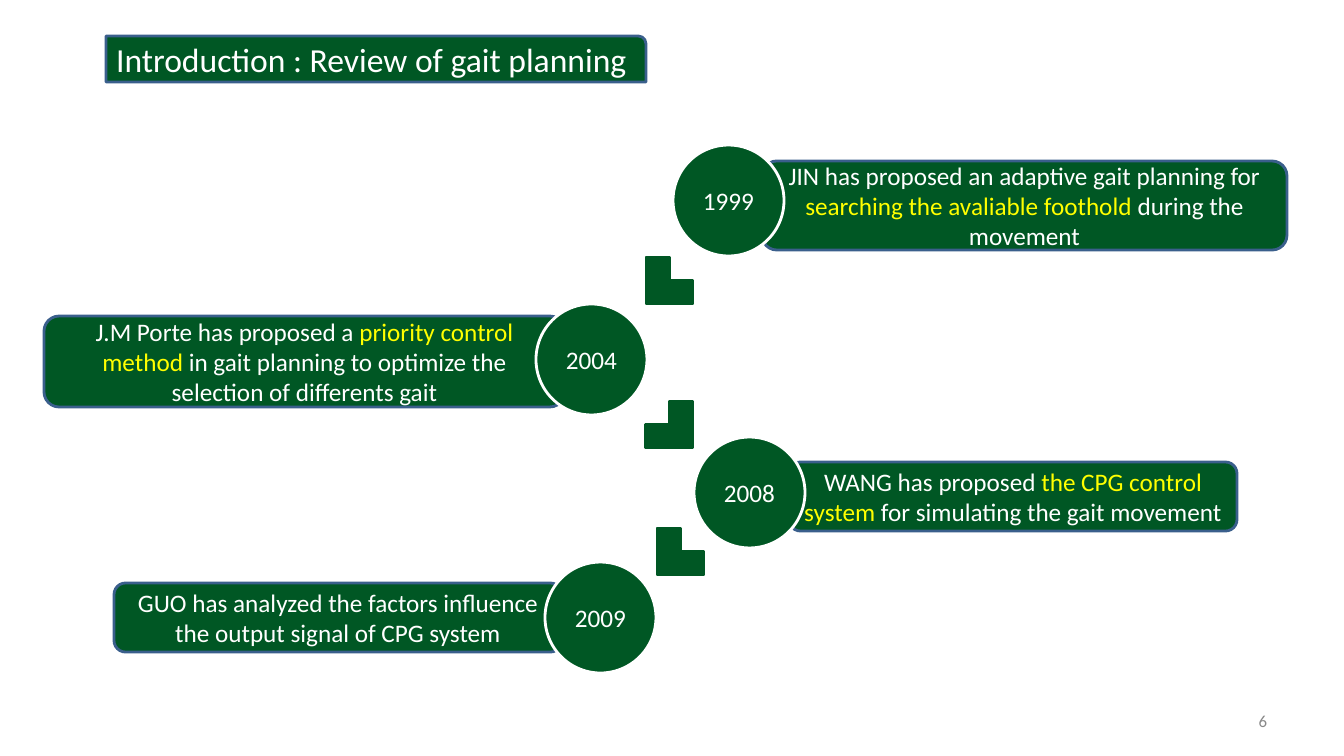
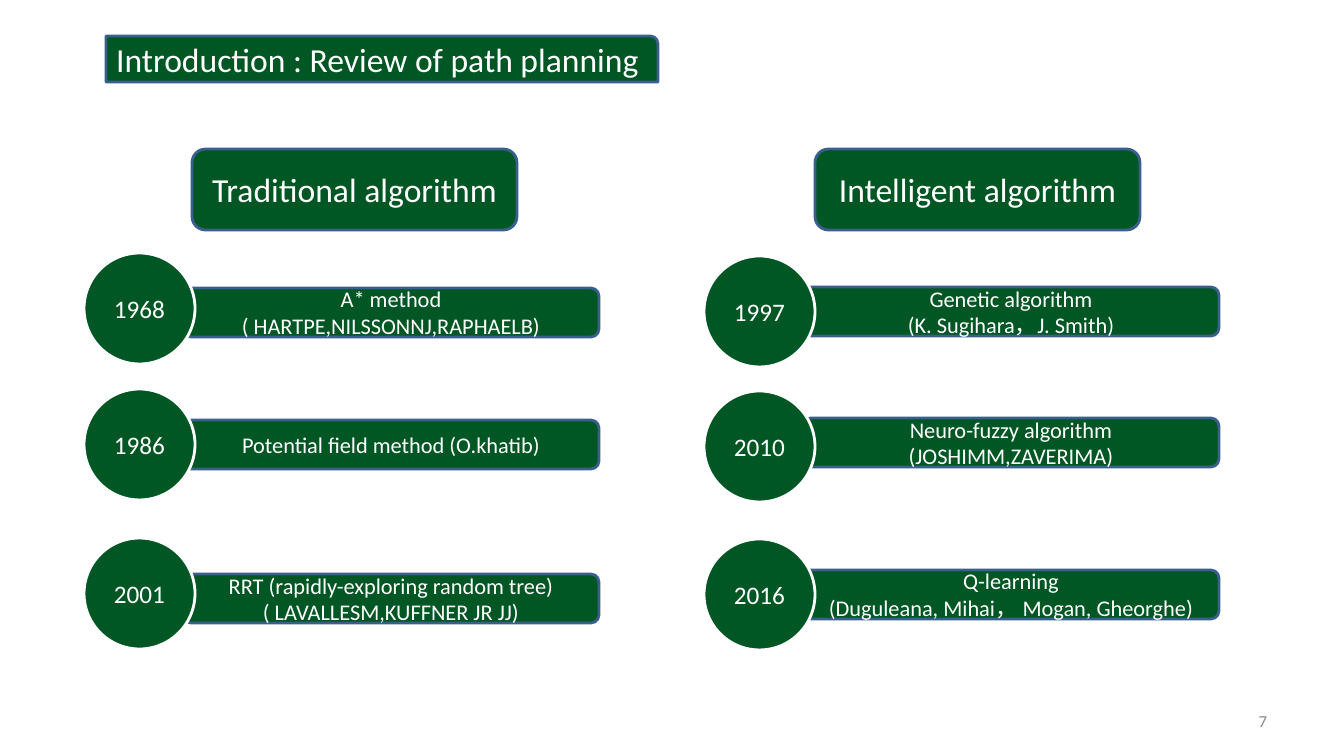
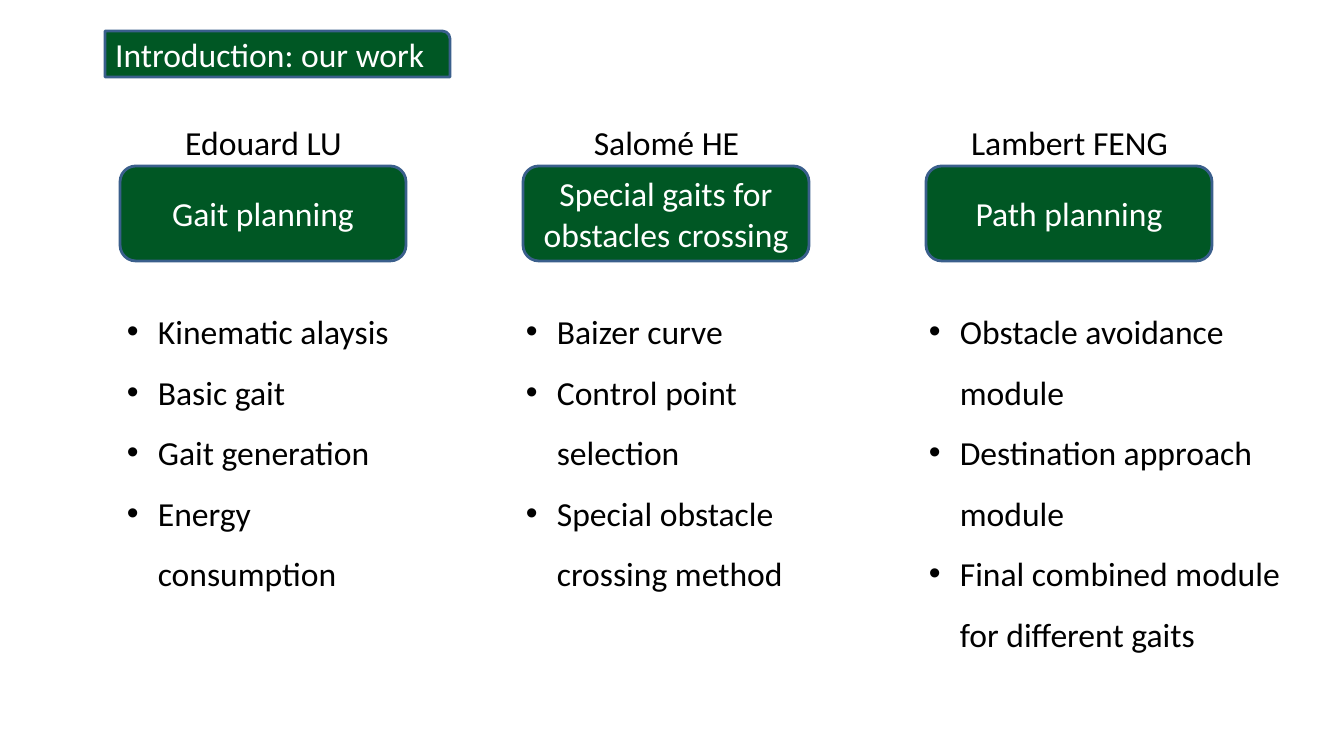
from lxml.etree import SubElement
from pptx import Presentation
from pptx.dml.color import RGBColor
from pptx.enum.shapes import MSO_SHAPE as Preset
from pptx.enum.text import MSO_ANCHOR as Anchor, MSO_AUTO_SIZE as AutoSize, PP_ALIGN as Align
from pptx.oxml.ns import qn
from pptx.util import Pt

EMU_PER_PX = 914400 / 100.8
FONT = "Calibri"
COLORS = {
    "green": "005724",
    "border": "3A5F8C",
    "white": "FFFFFF",
    "yellow": "FFFF00",
    "black": "000000",
    "gray": "898989",
}
CIRCLE = 111
CORNER = 47
BULLET_INDENT = 31


def px(length):
    """Turn pixels into EMU."""
    return round(length * EMU_PER_PX)


def rgb(name):
    """Look up a palette colour."""
    return RGBColor.from_string(COLORS[name])


def add_bullet(paragraph):
    """Give a paragraph a hanging round bullet."""
    properties = paragraph._p.get_or_add_pPr()
    properties.set("marL", str(px(BULLET_INDENT)))
    properties.set("indent", str(-px(BULLET_INDENT)))
    SubElement(properties, qn("a:buFont"), typeface="Arial")
    SubElement(properties, qn("a:buChar"), char="•")


def write(shape, text, size=18, color="white", align=Align.CENTER,
          anchor=Anchor.MIDDLE, spacing=None, bullets=False):
    """Write one paragraph per line; parts between bars are highlighted."""
    frame = shape.text_frame
    frame.word_wrap = True
    frame.auto_size = AutoSize.NONE
    frame.vertical_anchor = anchor
    for index, line in enumerate(text.split("\n")):
        paragraph = frame.add_paragraph() if index else frame.paragraphs[0]
        if bullets:
            add_bullet(paragraph)
        paragraph.alignment = align
        if spacing:
            paragraph.line_spacing = spacing
        for part, words in enumerate(line.split("|")):
            run = paragraph.add_run()
            run.text = words
            run.font.name = FONT
            run.font.size = Pt(size)
            run.font.color.rgb = rgb("yellow" if part % 2 else color)


def add_panel(slide, preset, box, line="border"):
    """Add a green preset shape."""
    shape = slide.shapes.add_shape(preset, *map(px, box))
    shape.shadow.inherit = False
    shape.fill.solid()
    shape.fill.fore_color.rgb = rgb("green")
    shape.line.color.rgb = rgb(line)
    shape.line.width = Pt(2)
    return shape


def add_text(slide, box, text, **style):
    """Add a text box."""
    write(slide.shapes.add_textbox(*map(px, box)), text, **style)


def add_titled_slide(presentation, title, box, number=None):
    """Start a slide with its title band and optional page number."""
    slide = presentation.slides.add_slide(presentation.slide_layouts[5])
    heading = slide.shapes.title
    heading.left, heading.top, heading.width, heading.height = map(px, box)
    write(heading, title, size=24, align=Align.LEFT)
    band = add_panel(slide, Preset.ROUND_1_RECTANGLE, box)
    heading.element.addprevious(band.element)
    if number:
        add_text(slide, (964, 701, 313, 40), number, size=12, color="gray", align=Align.RIGHT)
    return slide


def add_milestone(slide, bar_box, circle_at, year, text, size=18):
    """Add a text bar with a year circle over its end."""
    write(add_panel(slide, Preset.ROUNDED_RECTANGLE, bar_box), text, size=size)
    circle = add_panel(slide, Preset.OVAL, (*circle_at, CIRCLE, CIRCLE), line="white")
    write(circle, year)


def add_corner(slide, left, top, flipped=False):
    """Add an L-shaped link between milestones."""
    corner = add_panel(slide, Preset.CORNER, (left, top, CORNER, CORNER), line="green")
    if flipped:
        corner.element.spPr.get_or_add_xfrm().set("flipH", "1")


def add_algorithm_column(slide, left, top, heading_offset, heading, rows):
    """Add a heading and its milestones relative to the column corner."""
    panel = add_panel(slide, Preset.ROUNDED_RECTANGLE, (left + heading_offset, top, 325, 81))
    write(panel, heading, size=24)
    for circle_drop, bar_drop, year, text in rows:
        add_milestone(slide, (left + 99, top + bar_drop, 416, 49),
                      (left, top + circle_drop), year, text, size=16)


def add_work_column(slide, left, top, list_offset, list_width, person, topic, tasks):
    """Add a person, a topic card and a task list."""
    add_text(slide, (left + 13, top, 261, 50), person, size=24, color="black", anchor=Anchor.TOP)
    card = add_panel(slide, Preset.ROUNDED_RECTANGLE, (left, top + 49, 286, 95))
    write(card, topic, size=24)
    add_text(slide, (left + list_offset, top + 169, list_width, 316), "\n".join(tasks),
             size=24, color="black", align=Align.LEFT, anchor=Anchor.TOP,
             spacing=1.5, bullets=True)


def build_gait_review(presentation):
    """Build the gait planning timeline."""
    slide = add_titled_slide(presentation, "Introduction : Review of gait planning",
                             (106, 36, 540, 46), "6")
    milestones = [
        ((762, 161, 525, 89), (673, 145), "1999",
         "JIN has proposed an adaptive gait planning for "
         "|searching the avaliable foothold| during the movement"),
        ((44, 316, 521, 91), (536, 304), "2004",
         "J.M Porte has proposed a |priority control method| "
         "in gait planning to optimize the selection of differents gait"),
        ((789, 462, 448, 69), (694, 437), "2008",
         "WANG has proposed |the CPG control system| for simulating the gait movement"),
        ((114, 583, 448, 69), (545, 562), "2009",
         "GUO has analyzed the factors influence the output signal of CPG system"),
    ]
    for milestone in milestones:
        add_milestone(slide, *milestone)
    add_corner(slide, 646, 257)
    add_corner(slide, 646, 401, flipped=True)
    add_corner(slide, 657, 528)


def build_path_review(presentation):
    """Build the two columns of path planning algorithms."""
    slide = add_titled_slide(presentation, "Introduction : Review of path planning",
                             (106, 36, 552, 46), "7")
    add_algorithm_column(slide, 84, 149, 108, "Traditional algorithm", [
        (104, 139, "1968", "A* method ( HARTPE,NILSSONNJ,RAPHAELB)"),
        (240, 271, "1986", "Potential field method (O.khatib)"),
        (389, 425, "2001", "RRT (rapidly-exploring random tree)\n( LAVALLESM,KUFFNER JR JJ)"),
    ])
    add_algorithm_column(slide, 704, 149, 111, "Intelligent algorithm", [
        (107, 138, "1997", "Genetic algorithm\n(K. Sugihara，J. Smith)"),
        (242, 269, "2010", "Neuro-fuzzy algorithm (JOSHIMM,ZAVERIMA)"),
        (390, 421, "2016", "Q-learning\n(Duguleana, Mihai， Mogan, Gheorghe)"),
    ])


def build_our_work(presentation):
    """Build the three columns of the team's work."""
    slide = add_titled_slide(presentation, "Introduction: our work", (105, 31, 345, 46))
    columns = [
        (-3, 300, "Edouard LU", "Gait planning",
         ["Kinematic alaysis", "Basic gait", "Gait generation", "Energy consumption"]),
        (-7, 300, "Salomé HE", "Special gaits for obstacles crossing",
         ["Baizer curve", "Control point selection", "Special obstacle crossing method"]),
        (-7, 402, "Lambert FENG", "Path planning",
         ["Obstacle avoidance module", "Destination approach module",
          "Final combined module for different gaits"]),
    ]
    for index, column in enumerate(columns):
        add_work_column(slide, 120 + index * 403, 117, *column)


def main():
    """Build and save the presentation."""
    presentation = Presentation()
    presentation.slide_width = px(1344)
    presentation.slide_height = px(756)
    build_gait_review(presentation)
    build_path_review(presentation)
    build_our_work(presentation)
    presentation.save("out.pptx")


if __name__ == "__main__":
    main()
